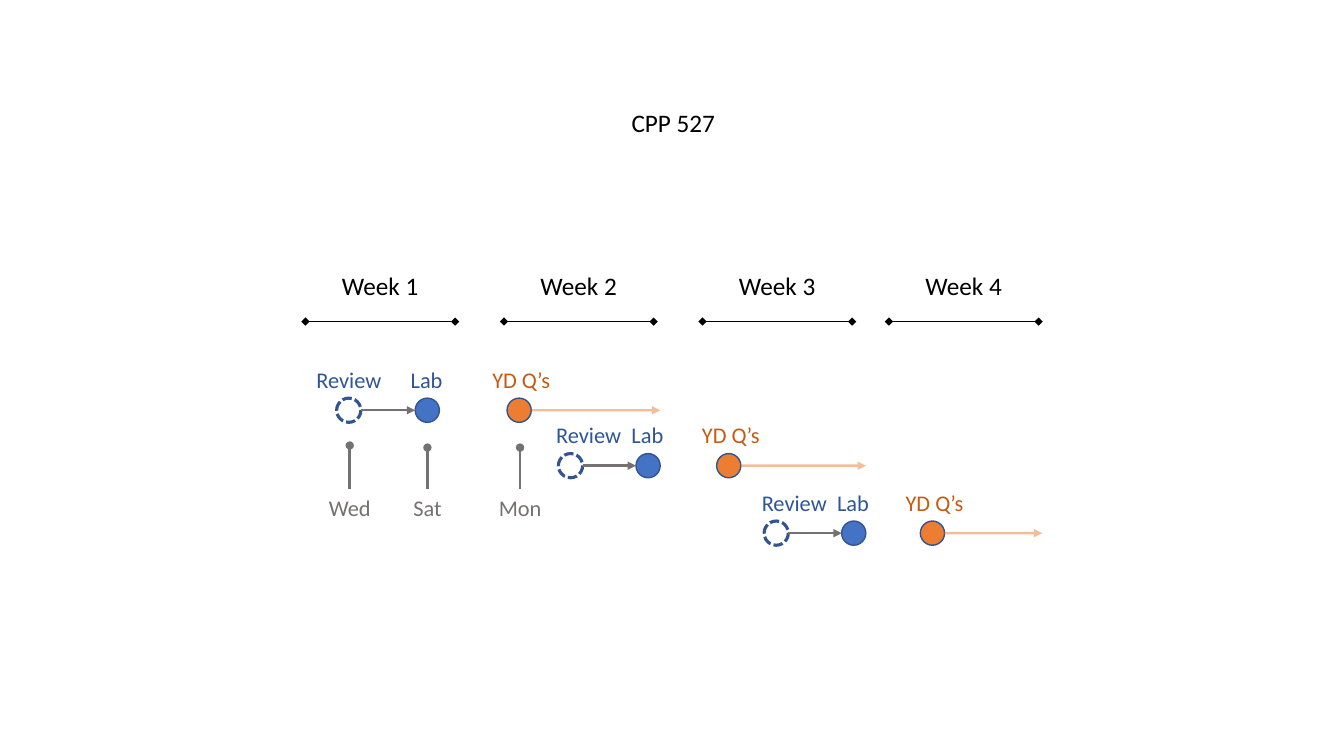
from dataclasses import dataclass

from lxml.etree import SubElement
from pptx import Presentation
from pptx.dml.color import RGBColor
from pptx.enum.dml import MSO_LINE_DASH_STYLE as Dash
from pptx.enum.shapes import MSO_CONNECTOR as Connector, MSO_SHAPE as Shape
from pptx.enum.text import MSO_ANCHOR as Anchor, MSO_AUTO_SIZE as AutoSize, PP_ALIGN as Align
from pptx.oxml.ns import qn
from pptx.util import Pt


@dataclass(frozen=True)
class Theme:
    """Colours, font and type sizes of the timeline."""
    font: str = "Calibri"
    heading_size: int = 18
    label_size: int = 16
    black: str = "000000"
    gray: str = "767171"
    lab: str = "4472C4"
    lab_text: str = "2F5597"
    question: str = "ED7D31"
    question_text: str = "C55A11"
    outline: str = "325491"


@dataclass(frozen=True)
class Cycle:
    """Places of one review, lab and question sequence, in points."""
    review_label: float
    review: float
    lab: float
    question: float
    top: float
    end: float


THEME = Theme()
DOT = 17.3
LABEL_HEIGHT = 26.6
HEADING_HEIGHT = 28.8
WEEK_WIDTH = 106.9
WEEK_TOP = 229.7
DAY_TOP = 349.2
WEEK_LEFTS = (218.2, 360, 501.8, 635)
DAYS = (("Wed", 249.8, 44.6, 318.2), ("Sat", 305.3, 35.3, 319.7), ("Mon", 371.5, 45.4, 319.7))
CYCLES = (
    Cycle(218.2, 240.5, 296.6, 362.2, 284.4, 471.6),
    Cycle(389.5, 398.9, 454.3, 511.9, 324, 618.5),
    Cycle(536.4, 545.8, 601.2, 657.4, 372.2, 744.5),
)


def format_text(shape, text, size, color):
    """Write one centred line of text that does not wrap."""
    frame = shape.text_frame
    frame.text = text
    frame.word_wrap = False
    frame.auto_size = AutoSize.SHAPE_TO_FIT_TEXT
    frame.vertical_anchor = Anchor.TOP
    paragraph = frame.paragraphs[0]
    paragraph.alignment = Align.CENTER
    paragraph.line_spacing = 1.0
    paragraph.space_before = Pt(0)
    font = paragraph.runs[0].font
    font.name = THEME.font
    font.size = Pt(size)
    font.color.rgb = RGBColor.from_string(color)


def add_title(slide, text):
    """Move the title placeholder into place and fill it."""
    title = slide.shapes.title
    title.left, title.top = Pt(443.5), Pt(72.7)
    title.width, title.height = Pt(74.9), Pt(HEADING_HEIGHT)
    format_text(title, text, THEME.heading_size, THEME.black)


def add_label(slide, text, left, top, width, color, size=THEME.label_size, height=LABEL_HEIGHT):
    """Add a text label."""
    box = slide.shapes.add_textbox(Pt(left), Pt(top), Pt(width), Pt(height))
    format_text(box, text, size, color)


def add_dot(slide, left, top, fill=None):
    """Add a filled dot, or a dashed ring when there is no fill."""
    dot = slide.shapes.add_shape(Shape.OVAL, Pt(left), Pt(top), Pt(DOT), Pt(DOT))
    dot.shadow.inherit = False
    dot.line.color.rgb = RGBColor.from_string(THEME.outline)
    if fill:
        dot.fill.solid()
        dot.fill.fore_color.rgb = RGBColor.from_string(fill)
        dot.line.width = Pt(1)
    else:
        dot.fill.background()
        dot.line.width = Pt(2.25)
        dot.line.dash_style = Dash.SQUARE_DOT


def add_line(slide, start, end, color, width=1.75, head=None, tail=None, opacity=None):
    """Add a straight line with optional end marks and opacity in percent."""
    line = slide.shapes.add_connector(Connector.STRAIGHT, *map(Pt, start + end))
    line.line.width = Pt(width)
    line.line.color.rgb = RGBColor.from_string(color)
    properties = line.line._get_or_add_ln()
    if opacity:
        color_node = properties.find(".//" + qn("a:srgbClr"))
        SubElement(color_node, qn("a:alpha"), val=str(opacity * 1000))
    for tag, mark in (("a:headEnd", head), ("a:tailEnd", tail)):
        if mark:
            SubElement(properties, qn(tag), type=mark)
    SubElement(line._element.spPr, qn("a:effectLst"))


def add_week(slide, number, left):
    """Add a week heading above its span line."""
    add_line(slide, (left, WEEK_TOP), (left + WEEK_WIDTH, WEEK_TOP), THEME.black,
             width=0.5, head="diamond", tail="diamond")
    add_label(slide, f"Week {number}", left + 18.5, 189.4, 69.8, THEME.black,
              THEME.heading_size, HEADING_HEIGHT)


def add_day(slide, name, center, width, stem_top):
    """Add a weekday name with its pin."""
    add_label(slide, name, center - width / 2, DAY_TOP, width, THEME.gray)
    add_line(slide, (center, DAY_TOP), (center, stem_top), THEME.gray, tail="oval")


def add_cycle(slide, cycle):
    """Add a review, its lab and the following question period."""
    middle = cycle.top + DOT / 2
    label_top = cycle.top - LABEL_HEIGHT
    add_dot(slide, cycle.review, cycle.top)
    add_dot(slide, cycle.lab, cycle.top, THEME.lab)
    add_dot(slide, cycle.question, cycle.top, THEME.question)
    add_line(slide, (cycle.review + DOT, middle), (cycle.lab, middle), THEME.gray, tail="triangle")
    add_line(slide, (cycle.question + DOT, middle), (cycle.end, middle), THEME.question,
             tail="triangle", opacity=50)
    add_label(slide, "Review", cycle.review_label, label_top, 61.9, THEME.lab_text)
    add_label(slide, "Lab", cycle.lab - 10.6, label_top, 37.4, THEME.lab_text)
    add_label(slide, "YD Q’s", cycle.question - 18, label_top, 56.2, THEME.question_text)


def main():
    """Build the course timeline slide."""
    presentation = Presentation()
    presentation.slide_width, presentation.slide_height = Pt(960), Pt(540)
    slide = presentation.slides.add_slide(presentation.slide_layouts[5])
    add_title(slide, "CPP 527")
    for number, left in enumerate(WEEK_LEFTS, start=1):
        add_week(slide, number, left)
    for day in DAYS:
        add_day(slide, *day)
    for cycle in CYCLES:
        add_cycle(slide, cycle)
    presentation.save("out.pptx")


if __name__ == "__main__":
    main()
